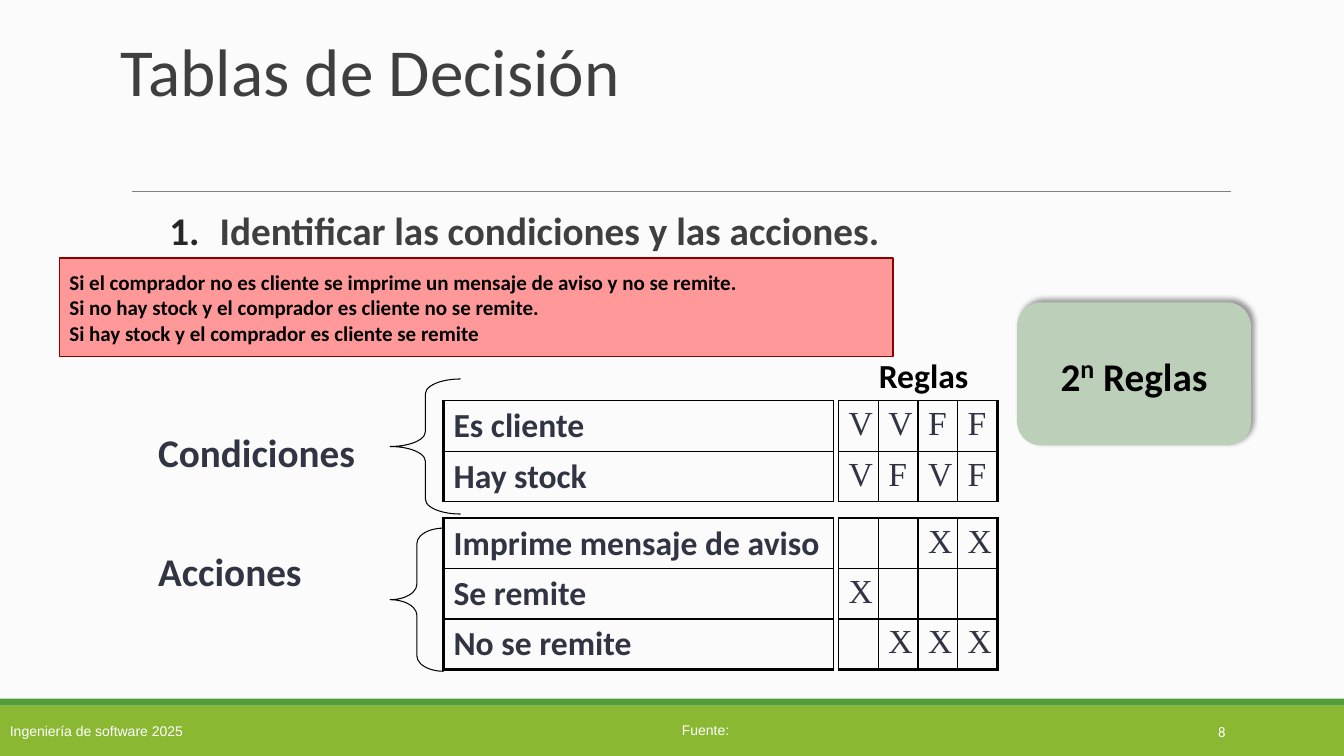
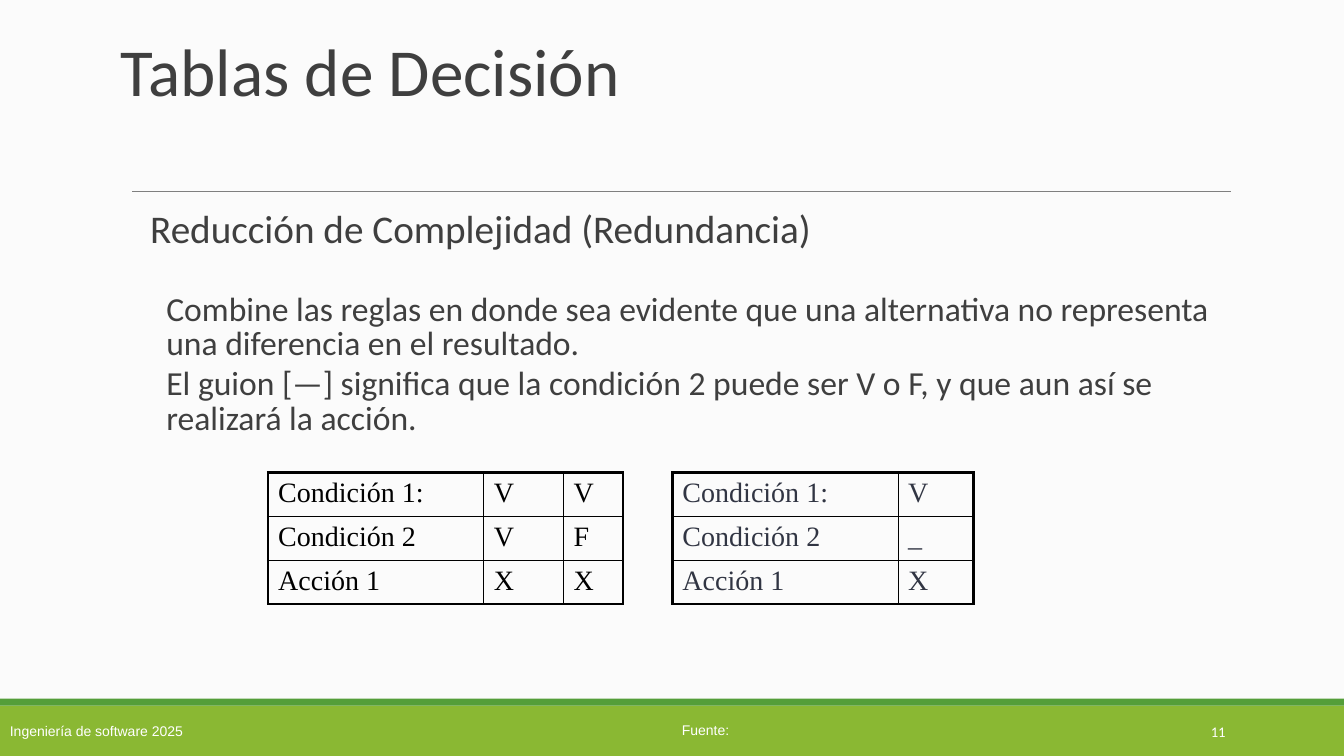
from dataclasses import dataclass

from pptx import Presentation
from pptx.dml.color import RGBColor
from pptx.enum.shapes import MSO_CONNECTOR, MSO_SHAPE
from pptx.enum.text import MSO_ANCHOR, PP_ALIGN
from pptx.oxml.ns import qn
from pptx.util import Emu, Inches, Pt
from lxml.etree import SubElement

COLORS = {
    "background": "FBFBFB", "band": "8AB833", "strip": "549E39",
    "rule": "7F7F7F", "body": "3F3F3F", "number": "262626",
    "slate": "313543", "black": "000000", "white": "FFFFFF",
    "statement": "FF9999", "statement_line": "8C0000", "formula": "BBCFB9",
}
WIDTH, HEIGHT = Inches(13.333), Inches(7.5)
THIN, THICK = 0.96, 2.21
ROW = 6.67  # table row on the first slide, in percent of the height


@dataclass(frozen=True)
class Style:
    size: float
    color: str
    font: str = "Calibri"
    bold: bool = False


TITLE = Style(48, "body")
FOOTER = Style(10, "white", "Arial")
PAGE_NUMBER = Style(10.5, "white")
LABEL = Style(28, "slate", bold=True)
ENTRY = Style(24, "slate", bold=True)
MARK = Style(24, "slate", "Times New Roman")


def color(name):
    return RGBColor.from_string(COLORS[name])


def across(share):
    return Emu(round(WIDTH * share / 100))


def down(share):
    return Emu(round(HEIGHT * share / 100))


def place(left, top, width, height):
    """Turn percentages of the slide into lengths."""
    return across(left), down(top), across(width), down(height)


# Text
def format_paragraph(paragraph, style):
    for run in paragraph.runs:
        font = run.font
        font.size, font.name, font.bold = Pt(style.size), style.font, style.bold
        font.color.rgb = color(style.color)


def fill_text(shape, text, style, anchor=MSO_ANCHOR.TOP, align=PP_ALIGN.LEFT):
    frame = shape.text_frame
    frame.word_wrap = True
    frame.vertical_anchor = anchor
    frame.text = text
    for paragraph in frame.paragraphs:
        paragraph.alignment = align
        format_paragraph(paragraph, style)
    return frame


def add_label(slide, box, text, style, **options):
    return fill_text(slide.shapes.add_textbox(*place(*box)), text, style, **options)


def add_body(slide, box, text, style):
    """Text without margins and with tight lines."""
    frame = add_label(slide, box, text, style)
    frame.margin_left = frame.margin_right = 0
    frame.margin_top = frame.margin_bottom = 0
    for paragraph in frame.paragraphs:
        paragraph.line_spacing = 0.85
    return frame


def set_indent(paragraph, left, hanging=0):
    properties = paragraph._p.get_or_add_pPr()
    properties.set("marL", str(Inches(left)))
    properties.set("indent", str(Inches(-hanging)))
    return properties


def add_numbered_step(slide, box, text, style):
    paragraph = add_body(slide, box, text, style).paragraphs[0]
    properties = set_indent(paragraph, 0.5, 0.5)
    bullet_color = SubElement(properties, qn("a:buClr"))
    SubElement(bullet_color, qn("a:srgbClr"), val=COLORS["number"])
    SubElement(properties, qn("a:buFont"), typeface="+mj-lt")
    SubElement(properties, qn("a:buAutoNum"), type="arabicPeriod")


# Shapes
def add_block(slide, kind, box, fill=None, line=None, line_width=0.75):
    shape = slide.shapes.add_shape(kind, *place(*box))
    shape.shadow.inherit = False
    if fill:
        shape.fill.solid()
        shape.fill.fore_color.rgb = color(fill)
    else:
        shape.fill.background()
    if line:
        shape.line.color.rgb = color(line)
        shape.line.width = Pt(line_width)
    else:
        shape.line.fill.background()
    return shape


def add_brace(slide, box, curve):
    brace = add_block(slide, MSO_SHAPE.LEFT_BRACE, box, line="black")
    brace.adjustments[0] = curve


def add_rule(slide, left, right, top):
    rule = slide.shapes.add_connector(
        MSO_CONNECTOR.STRAIGHT, across(left), down(top), across(right), down(top))
    rule.line.color.rgb = color("rule")
    rule.line.width = Pt(0.75)
    SubElement(rule._element.spPr, qn("a:effectLst"))


def add_soft_shadow(shape):
    effects = shape._element.spPr.find(qn("a:effectLst"))
    shadow = SubElement(effects, qn("a:outerShdw"), blurRad=str(Pt(4)),
                        dist=str(Pt(3)), dir=str(315 * 60000), rotWithShape="0")
    shade = SubElement(shadow, qn("a:srgbClr"), val=COLORS["black"])
    SubElement(shade, qn("a:alpha"), val="40000")


# Tables
def set_borders(cell, thick_sides):
    properties = cell._tc.get_or_add_tcPr()
    for side in "LRTB":
        width = THICK if side in thick_sides else THIN
        line = SubElement(properties, qn(f"a:ln{side}"), w=str(Pt(width)))
        fill = SubElement(line, qn("a:solidFill"))
        SubElement(fill, qn("a:srgbClr"), val=COLORS["black"])


def add_grid(slide, left, top, columns, row_height, rows, style, thick_edges):
    """Table with thin inner lines; thick_edges names its heavy outer sides."""
    box = place(left, top, sum(columns), row_height * len(rows))
    table = slide.shapes.add_table(len(rows), len(columns), *box).table
    table.first_row = table.horz_banding = False
    for column, width in zip(table.columns, columns):
        column.width = across(width)
    last_row, last_column = len(rows) - 1, len(columns) - 1
    for r, texts in enumerate(rows):
        table.rows[r].height = down(row_height)
        for c, text in enumerate(texts):
            cell = table.cell(r, c)
            outer = {"L": c == 0, "R": c == last_column,
                     "T": r == 0, "B": r == last_row}
            set_borders(cell, [side for side in thick_edges if outer[side]])
            cell.fill.background()
            if text:
                cell.text_frame.text = text
                format_paragraph(cell.text_frame.paragraphs[0], style)


# Parts that every slide shares
def add_framed_slide(presentation, title, number):
    slide = presentation.slides.add_slide(presentation.slide_layouts[6])
    band = add_block(slide, MSO_SHAPE.RECTANGLE, (0, 93.33, 100, 6.67), "band")
    fill_text(band, "Ingeniería de software 2025", FOOTER, MSO_ANCHOR.MIDDLE)
    add_block(slide, MSO_SHAPE.RECTANGLE, (0, 92.4, 100, 0.93), "strip")
    add_rule(slide, 9.83, 91.58, 25.33)
    source = add_label(slide, (50, 94.8, 5, 3.5), "Fuente:", FOOTER)
    source.word_wrap = False
    add_body(slide, (9, 5.5, 82.5, 19.8), title, TITLE)
    add_label(slide, (81.2, 94.13, 10.73, 5.33), number, PAGE_NUMBER,
              anchor=MSO_ANCHOR.MIDDLE, align=PP_ALIGN.RIGHT)
    return slide


def add_formula(slide, box):
    shape = add_block(slide, MSO_SHAPE.ROUNDED_RECTANGLE, box, "formula")
    add_soft_shadow(shape)
    style = Style(28, "black", bold=True)
    frame = fill_text(shape, "2", style, MSO_ANCHOR.MIDDLE, PP_ALIGN.CENTER)
    paragraph = frame.paragraphs[0]
    exponent = paragraph.add_run()
    exponent.text = "n"
    paragraph.add_run().text = " Reglas"
    format_paragraph(paragraph, style)
    exponent.font.size = Pt(32)
    exponent._r.get_or_add_rPr().set("baseline", "30000")


def build_conditions_slide(presentation):
    slide = add_framed_slide(presentation, "Tablas de Decisión", "8")
    add_numbered_step(slide, (12.6, 28.27, 87.4, 6),
                      "Identificar las condiciones y las acciones.",
                      Style(28, "body", bold=True))

    # Group names and braces
    add_brace(slide, (29.03, 50.13, 5.25, 17.87), 0.21)
    add_brace(slide, (29.03, 69.87, 3.98, 18.93), 0.29)
    add_label(slide, (11.03, 56, 20.85, 7.6), "Condiciones", LABEL)
    add_label(slide, (11.03, 71.73, 20.85, 7.6), "Acciones", LABEL)

    # Each group: entries on the left, rules on the right
    groups = [
        (53, "", [("Es cliente", "VVFF"), ("Hay stock", "VFVF")]),
        (68.53, "B", [("Imprime mensaje de aviso", ["", "", "X", "X"]),
                      ("Se remite", ["X", "", "", ""]),
                      ("No se remite", ["", "X", "X", "X"])]),
    ]
    for top, bottom_edge, lines in groups:
        add_grid(slide, 33, top, [29.03], ROW,
                 [[entry] for entry, marks in lines], ENTRY, "L" + bottom_edge)
        add_grid(slide, 62.4, top, [2.95] * 4, ROW,
                 [marks for entry, marks in lines], MARK, "R" + bottom_edge)
    add_label(slide, (64.65, 46.27, 10.95, 6.67), "Reglas",
              Style(24, "black", bold=True))

    # Problem statement and number of rules
    statement = add_block(slide, MSO_SHAPE.RECTANGLE, (4.43, 34.13, 62.03, 13.07),
                          "statement", "statement_line", 1)
    fill_text(statement, "\n".join([
        "Si el comprador no es cliente se imprime un mensaje de aviso y no se remite.",
        "Si no hay stock y el comprador es cliente no se remite.",
        "Si hay stock y el comprador es cliente se remite",
    ]), Style(15, "black", bold=True), MSO_ANCHOR.MIDDLE)
    add_formula(slide, (75.68, 40, 17.4, 18.93))


def build_reduction_slide(presentation):
    slide = add_framed_slide(presentation, "Tablas de Decisión", "11")
    frame = add_body(slide, (9, 28, 81.53, 31.73), "\n".join([
        "Reducción de Complejidad (Redundancia)",
        "Combine las reglas en donde sea evidente que una alternativa "
        "no representa una diferencia en el resultado.",
        "El guion [—] significa que la condición 2 puede ser V o F, "
        "y que aun así se realizará la acción.",
    ]), Style(24, "body"))
    heading, combine, dash = frame.paragraphs
    format_paragraph(heading, Style(28, "body"))
    set_indent(heading, 0.29)
    for paragraph, space in ((combine, 30), (dash, 4.5)):
        set_indent(paragraph, 0.45)
        paragraph.space_before = Pt(space)

    # Rules before and after the reduction
    names = ["Condición 1:", "Condición 2", "Acción 1"]
    tables = [
        (19.95, [16.05, 5.93, 4.43], ["VV", "VF", "XX"], "black"),
        (50.03, [16.8, 5.63], ["V", "_", "X"], "slate"),
    ]
    for left, columns, marks, text_color in tables:
        rows = [[name, *values] for name, values in zip(names, marks)]
        add_grid(slide, left, 62.53, columns, 5.44, rows,
                 Style(20, text_color, "Times New Roman"), "LRTB")


def main():
    presentation = Presentation()
    presentation.slide_width, presentation.slide_height = WIDTH, HEIGHT
    background = presentation.slide_master.background.fill
    background.solid()
    background.fore_color.rgb = color("background")
    build_conditions_slide(presentation)
    build_reduction_slide(presentation)
    presentation.save("out.pptx")


if __name__ == "__main__":
    main()
